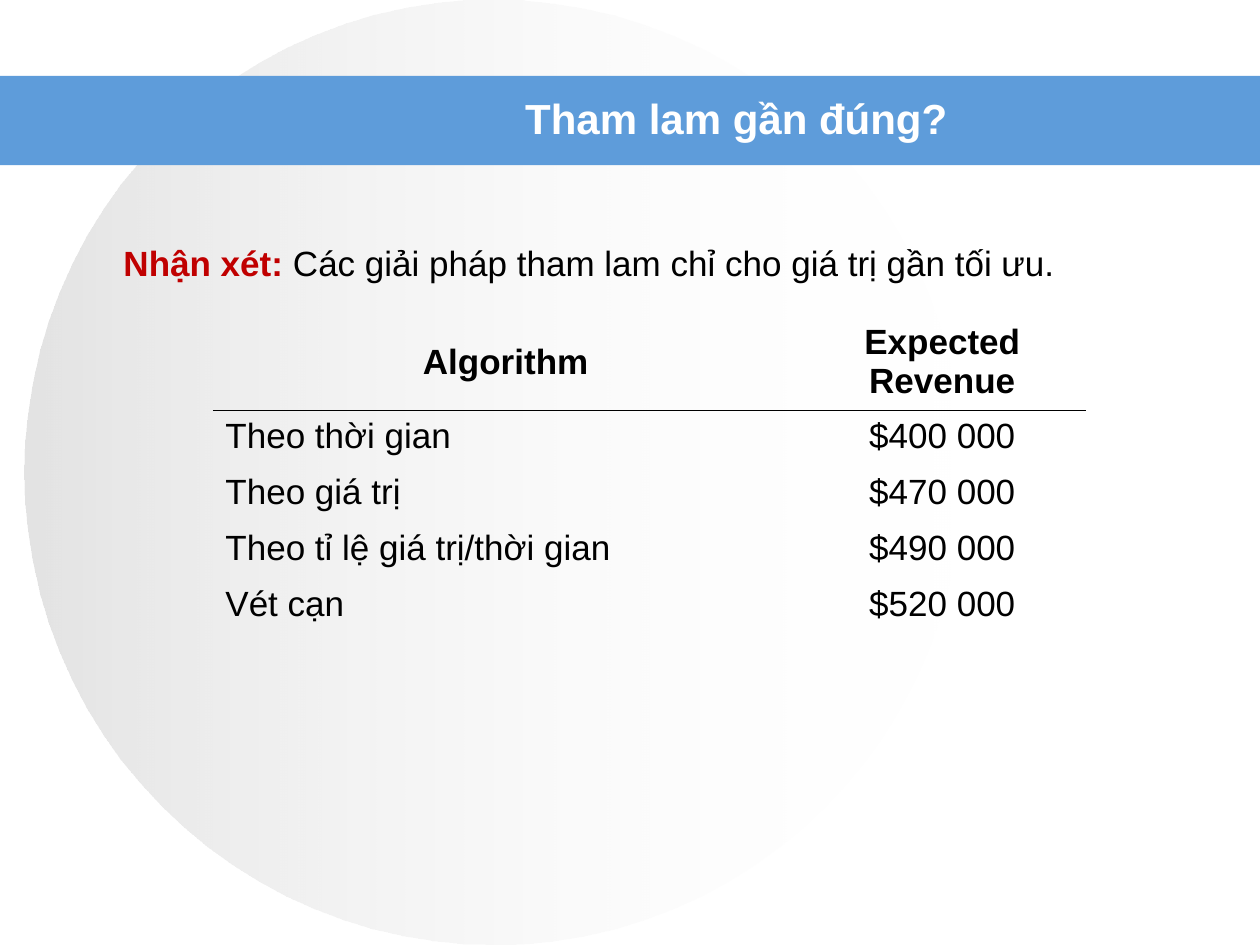
import pptx
import pptx.dml.color
import pptx.enum.shapes
import pptx.enum.text
import pptx.oxml
import pptx.oxml.ns
import pptx.util

Cm = pptx.util.Cm
Pt = pptx.util.Pt
RGBColor = pptx.dml.color.RGBColor
Shape = pptx.enum.shapes.MSO_SHAPE
Align = pptx.enum.text.PP_ALIGN
Anchor = pptx.enum.text.MSO_ANCHOR

BLACK = RGBColor(0x00, 0x00, 0x00)
WHITE = RGBColor(0xFF, 0xFF, 0xFF)
SILVER = RGBColor(0xC0, 0xC0, 0xC0)
BLUE = RGBColor(0x5E, 0x9C, 0xDA)
RED = RGBColor(0xC0, 0x00, 0x00)
NAMESPACE = pptx.oxml.ns.nsdecls("a")
NO_STYLE_NO_GRID = "{2D5ABB26-0587-4C30-8999-92F81FD0307C}"


def add_text(paragraph, text, *, size=20, color=BLACK, bold=False, font="Arial"):
    run = paragraph.add_run()
    run.text = text
    run.font.name = font
    run.font.size = Pt(size)
    run.font.bold = bold
    run.font.color.rgb = color


class SlideBuilder:
    """Holds the current slide and its shared style."""

    def __init__(self, slide):
        self.slide = slide
        self.rule_width = Pt(0.45)

    def shape(self, kind, left, top, width, height):
        shape = self.slide.shapes.add_shape(
            kind, Cm(left), Cm(top), Cm(width), Cm(height))
        shape.shadow.inherit = False
        shape.line.fill.background()
        return shape

    def band(self, left, top, width, height, color):
        band = self.shape(Shape.RECTANGLE, left, top, width, height)
        band.fill.solid()
        band.fill.fore_color.rgb = color

    def fading_circle(self, left, top, width, height, stops):
        circle = self.shape(Shape.OVAL, left, top, width, height)
        circle.fill.gradient()
        circle.fill.gradient_angle = 0
        for stop, (color, _) in zip(circle.fill.gradient_stops, stops):
            stop.color.rgb = color
        color_elements = circle.fill._xPr.findall(
            ".//" + pptx.oxml.ns.qn("a:srgbClr"))
        for element, (_, opacity) in zip(color_elements, stops):
            element.append(pptx.oxml.parse_xml(
                f'<a:alpha {NAMESPACE} val="{opacity * 1000}"/>'))

    def text_box(self, left, top, width, height, pieces, *, align=Align.LEFT,
                 anchor=Anchor.TOP, inset_left=0.25, inset_top=0.13):
        box = self.slide.shapes.add_textbox(
            Cm(left), Cm(top), Cm(width), Cm(height))
        frame = box.text_frame
        frame.word_wrap = True
        frame.vertical_anchor = anchor
        frame.margin_left = Cm(inset_left)
        frame.margin_top = Cm(inset_top)
        paragraph = frame.paragraphs[0]
        paragraph.alignment = align
        for text, style in pieces:
            add_text(paragraph, text, **style)

    def table(self, left, top, widths, heights, rows):
        graphic = self.slide.shapes.add_table(
            len(rows), len(widths), Cm(left), Cm(top),
            Cm(sum(widths)), Cm(sum(heights)))
        table = graphic.table
        table.horz_banding = False
        style_id = table._tbl.tblPr.find(pptx.oxml.ns.qn("a:tableStyleId"))
        style_id.text = NO_STYLE_NO_GRID
        for column, width in zip(table.columns, widths):
            column.width = Cm(width)
        for row, height in zip(table.rows, heights):
            row.height = Cm(height)
        for row_index, texts in enumerate(rows):
            for column_index, text in enumerate(texts):
                self.cell(table.cell(row_index, column_index), text,
                          header=row_index == 0,
                          centered=row_index == 0 or column_index > 0)

    def cell(self, cell, text, *, header, centered):
        cell.fill.background()
        paragraph = cell.text_frame.paragraphs[0]
        paragraph.alignment = Align.CENTER if centered else Align.LEFT
        add_text(paragraph, text, bold=header)
        if header:
            cell.vertical_anchor = Anchor.MIDDLE
            # Border elements come before the fill
            cell._tc.get_or_add_tcPr().insert(0, pptx.oxml.parse_xml(
                f'<a:lnB {NAMESPACE} w="{self.rule_width}"><a:solidFill>'
                f'<a:srgbClr val="{BLACK}"/></a:solidFill></a:lnB>'))


def main():
    presentation = pptx.Presentation()
    presentation.slide_width = Cm(25.4)
    presentation.slide_height = Cm(19.05)
    slide = presentation.slides.add_slide(presentation.slide_layouts[6])
    builder = SlideBuilder(slide)

    # Background
    builder.fading_circle(0.5, 0, 18.9, 19.05, [(SILVER, 44), (WHITE, 0)])
    builder.band(0, 1.53, 25.4, 1.8, BLUE)

    # Title
    builder.text_box(4.37, 1.7, 20.95, 1.35,
                     [("Tham lam gần đúng?",
                       dict(size=24, color=WHITE, bold=True))],
                     align=Align.CENTER, anchor=Anchor.MIDDLE)

    # Remark
    builder.text_box(1.27, 4.65, 22.96, 12.9,
                     [("Nhận xét: ", dict(color=RED, bold=True)),
                      ("Các giải pháp tham lam chỉ cho giá trị gần tối ưu.", {})],
                     inset_left=1.22, inset_top=0.22)

    # Revenue by algorithm
    builder.table(4.29, 6.32, [11.81, 5.79], [1.96] + [1.13] * 4, [
        ("Algorithm", "Expected Revenue"),
        ("Theo thời gian", "$400 000"),
        ("Theo giá trị", "$470 000"),
        ("Theo tỉ lệ giá trị/thời gian", "$490 000"),
        ("Vét cạn", "$520 000"),
    ])

    presentation.save("out.pptx")


if __name__ == "__main__":
    main()
